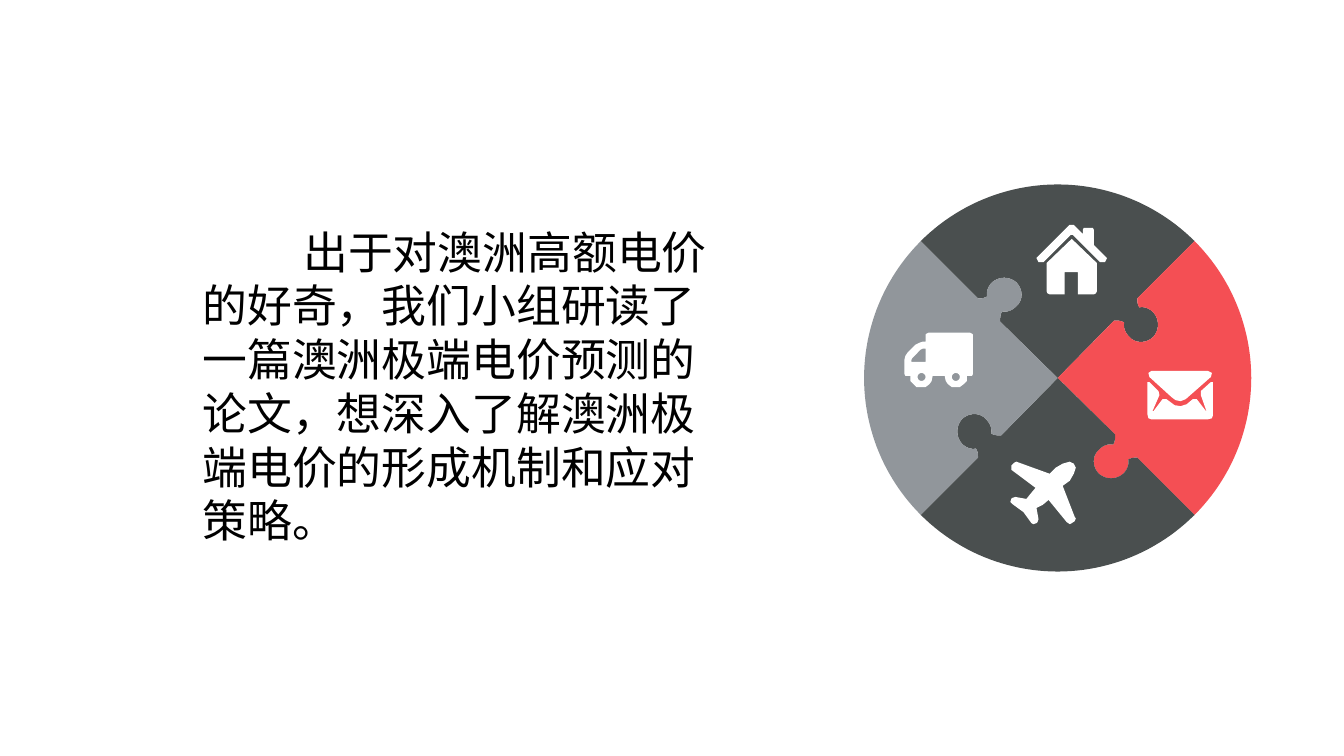
import math
import pptx
import pptx.dml.color
import pptx.enum.text
import pptx.util

Inches = pptx.util.Inches
RGBColor = pptx.dml.color.RGBColor

SLATE = RGBColor(0x4A, 0x4F, 0x4F)
CORAL = RGBColor(0xF4, 0x4F, 0x54)
SILVER = RGBColor(0x91, 0x96, 0x9B)
WHITE = RGBColor(0xFF, 0xFF, 0xFF)
BLACK = RGBColor(0, 0, 0)

MOTIVATION = "出于对澳洲高额电价的好奇，我们小组研读了一篇澳洲极端电价预测的论文，想深入了解澳洲极端电价的形成机制和应对策略。"

SEAM_CURVES = [
    [(0.56, -0.57), (0.60, -0.57), (0.63, -0.57), (0.66, -0.55)],
    [(0.66, -0.55), (0.65, -0.50), (0.67, -0.45), (0.71, -0.41)],
    [(0.71, -0.41), (0.77, -0.34), (0.88, -0.34), (0.95, -0.41)],
    [(0.95, -0.41), (1.01, -0.48), (1.01, -0.58), (0.95, -0.65)],
    [(0.95, -0.65), (0.91, -0.69), (0.86, -0.71), (0.81, -0.70)],
    [(0.81, -0.70), (0.79, -0.73), (0.79, -0.76), (0.79, -0.79)],
]


def arc(center, radius, start, sweep, steps):
    return [(center[0] + radius * math.cos(math.radians(start + sweep * i / steps)),
             center[1] + radius * math.sin(math.radians(start + sweep * i / steps)))
            for i in range(steps + 1)]


def bezier(a, b, c, d, steps=8):
    points = []
    for i in range(1, steps + 1):
        t = i / steps
        weights = ((1 - t) ** 3, 3 * t * (1 - t) ** 2, 3 * t * t * (1 - t), t ** 3)
        points.append(tuple(sum(w * p[axis] for w, p in zip(weights, (a, b, c, d)))
                            for axis in (0, 1)))
    return points


ENVELOPE = [
    [(28, 29), (24, 26), (2, 6), (1, 2), (4, 0), (60, 0), (64, 2), (63, 6), (38, 28),
     (33, 30)],
    [(4, 48), (1, 47), (0, 43), (0, 11), (2, 11), (11, 20), (12, 24), (5, 40), (6, 40),
     (15, 28), (19, 28), (23, 31), (27, 34), (33, 35), (39, 33), (45, 28), (49, 28),
     (59, 41), (53, 24), (53, 20), (63, 11), (65, 11), (65, 44), (64, 47), (60, 48)],
]
TRUCK = [
    [(65, 0), (67, 1), (68, 2), (68, 41), (67, 43), (62, 43), (62, 48), (59, 51), (55, 54),
     (47, 54), (43, 51), (41, 48), (40, 43), (28, 43), (27, 48), (25, 51), (21, 54),
     (12, 54), (9, 51), (6, 48), (6, 43), (1, 43), (0, 41), (0, 27), (1, 23), (3, 20),
     (11, 12), (15, 10), (18, 9), (21, 9), (21, 2), (22, 1), (24, 0)],
    [(21, 16), (18, 16), (16, 17), (8, 25), (7, 27), (7, 29), (21, 29)],
    arc((17, 44), 4, 0, 360, 16),
    arc((51, 44), 4, 0, 360, 16),
]
PLANE = [
    [(64, 55), (65, 56), (64, 59), (61, 61), (59, 62), (56, 60), (38, 38), (32, 43),
     (26, 46), (28, 57), (27, 60), (26, 61), (23, 62), (21, 61), (13, 50), (2, 42),
     (0, 40), (1, 37), (2, 36), (5, 35), (16, 37), (20, 32), (25, 26), (1, 8), (1, 4),
     (4, 1), (6, 0), (39, 12), (45, 6), (52, 2), (59, 0), (63, 2), (65, 6), (63, 12),
     (59, 19), (52, 24)],
]
HOUSE = [
    [(69, 32), (70, 33), (68, 37), (63, 37), (36, 10), (34, 10), (7, 37), (2, 37),
     (0, 33), (1, 32), (33, 0), (37, 0), (46, 9), (46, 5), (47, 3), (56, 3), (57, 5),
     (57, 20)],
    [(60, 38), (60, 66), (59, 68), (57, 69), (41, 69), (41, 47), (28, 47), (28, 69),
     (13, 69), (11, 68), (10, 66), (10, 38), (35, 14)],
]


def draw_outline(shapes, contours, left, top, color, unit=1):
    emu = [[(Inches(x * unit), Inches(y * unit)) for x, y in contour] for contour in contours]
    builder = shapes.build_freeform(*emu[0][0], scale=1.0)
    builder.add_line_segments(emu[0][1:], close=True)
    for contour in emu[1:]:
        builder.move_to(*contour[0])
        builder.add_line_segments(contour[1:], close=True)
    outline = builder.convert_to_shape(Inches(left), Inches(top))
    outline.shadow.inherit = False
    outline.fill.solid()
    outline.fill.fore_color.rgb = color
    outline.line.fill.background()


def puzzle_seam(turns):
    seam = [(0, 0), SEAM_CURVES[0][0]]
    for curve in SEAM_CURVES:
        seam += bezier(*curve)
    seam.append((1.36, -1.36))
    for _ in range(turns % 4):
        seam = [(-y, x) for x, y in seam]
    return seam


def add_puzzle_wheel(slide, left, top, size):
    wheel = slide.shapes.add_group_shape().shapes
    radius = size / 2
    center_x, center_y = left + radius, top + radius
    for turns, color in enumerate((SLATE, CORAL, SLATE, SILVER)):
        rim = arc((0, 0), radius, 90 * turns - 45, -90, 48)
        piece = puzzle_seam(turns) + rim + puzzle_seam(turns - 1)[::-1]
        draw_outline(wheel, [piece], center_x, center_y, color)
    for icon, dx, dy in ((ENVELOPE, 0.89, -0.07), (TRUCK, -1.52, -0.45),
                         (PLANE, -0.47, 0.83), (HOUSE, -0.21, -1.52)):
        draw_outline(wheel, icon, center_x + dx, center_y + dy, WHITE, 0.01)


def add_motivation(slide, left, top, width, height):
    motivation = slide.shapes.add_textbox(*map(Inches, (left, top, width, height)))
    frame = motivation.text_frame
    frame_format = {"word_wrap": True, "margin_bottom": Inches(0.55),
                    "vertical_anchor": pptx.enum.text.MSO_ANCHOR.MIDDLE}
    for key, value in frame_format.items():
        setattr(frame, key, value)
    paragraph = frame.paragraphs[0]
    paragraph._p.get_or_add_pPr().set("indent", str(Inches(1)))
    run = paragraph.add_run()
    run.text = MOTIVATION
    for key, value in {"name": "Arial", "size": pptx.util.Pt(32)}.items():
        setattr(run.font, key, value)
    run.font.color.rgb = BLACK


def main():
    deck = pptx.Presentation()
    deck.slide_width, deck.slide_height = Inches(13.33), Inches(7.5)
    slide = deck.slides.add_slide(deck.slide_layouts[6])
    add_puzzle_wheel(slide, 8.57, 1.83, 3.84)
    add_motivation(slide, 1.91, 2.18, 5.33, 3.79)
    deck.save("out.pptx")


if __name__ == "__main__":
    main()
